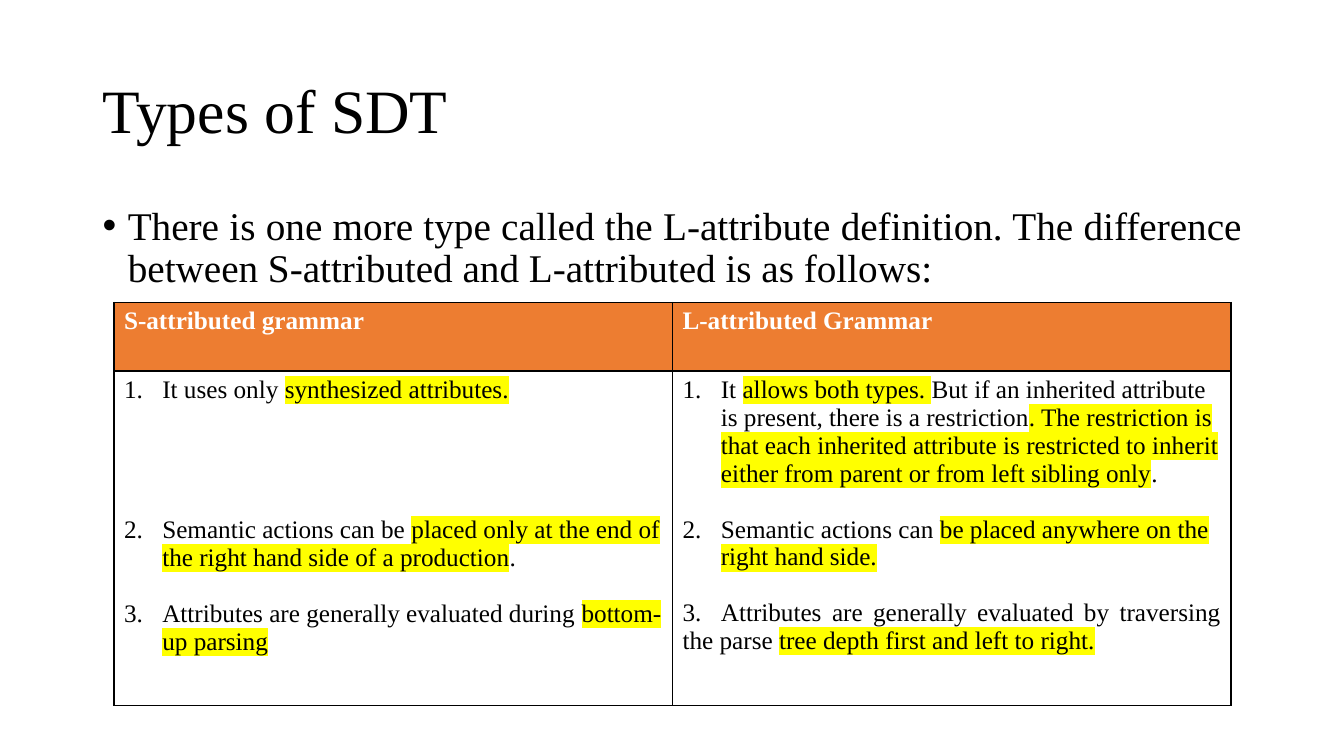
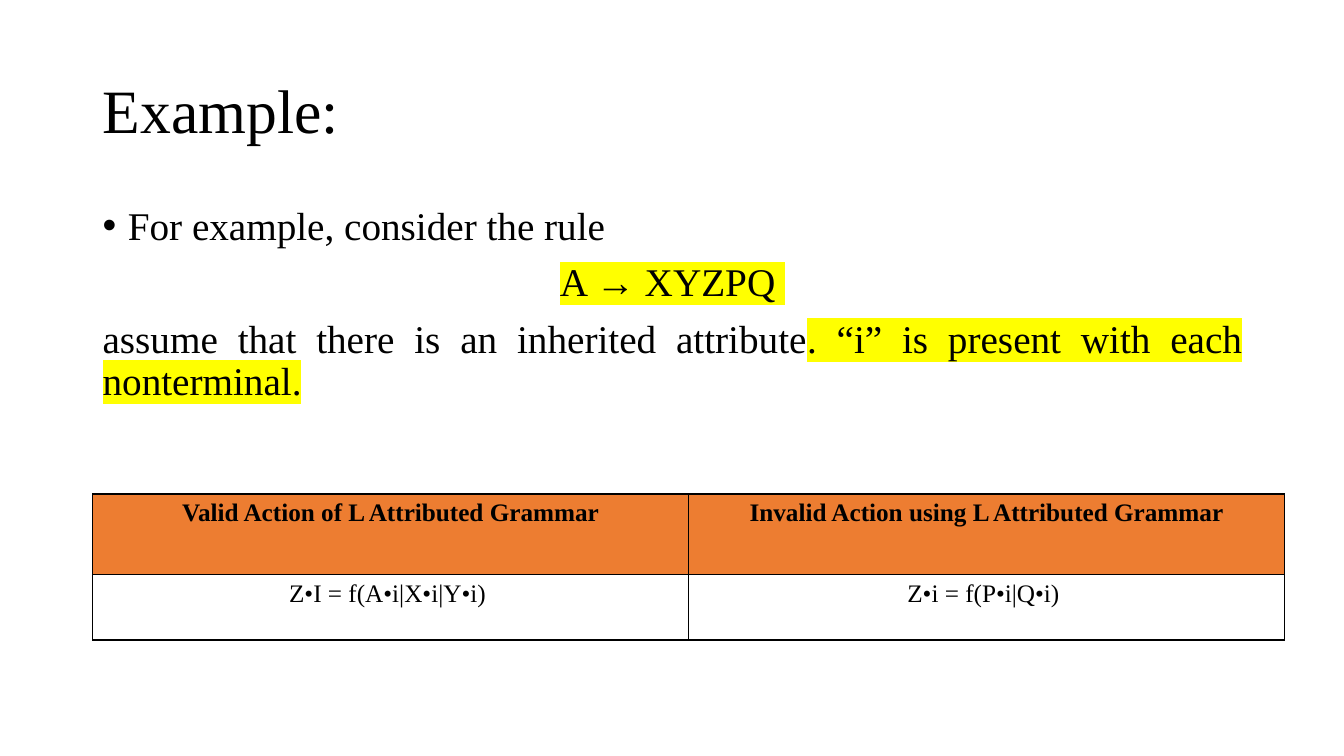
from dataclasses import dataclass

from lxml import etree
from pptx import Presentation
from pptx.dml.color import RGBColor
from pptx.enum.text import MSO_ANCHOR, PP_ALIGN
from pptx.oxml.ns import qn
from pptx.util import Inches, Pt

LEFT, CENTER, JUSTIFY = PP_ALIGN.LEFT, PP_ALIGN.CENTER, PP_ALIGN.JUSTIFY
MIDDLE = MSO_ANCHOR.MIDDLE
TITLE_ONLY = 5


@dataclass(frozen=True)
class Theme:
    font: str = "Times New Roman"
    bullet_font: str = "Arial"
    ink: str = "000000"
    paper: str = "FFFFFF"
    accent: str = "ED7D31"
    marker: str = "FFFF00"
    title_size: int = 44
    body_size: int = 28
    table_size: int = 18
    border: float = 1
    line_spacing: float = 0.9
    body_gap: int = 10
    blank_line: int = 20
    bullet_indent: float = 0.25
    number_indent: float = 0.38


THEME = Theme()


@dataclass(frozen=True)
class Entry:
    """Pieces alternate between plain and highlighted text."""
    pieces: tuple
    align: PP_ALIGN = LEFT
    mark: str = ""
    gap: float = 0


def add_element(parent, tag, **attributes):
    return etree.SubElement(parent, qn(tag), attributes)


def add_mark(para, mark):
    properties = para._p.get_or_add_pPr()
    if mark == "tab":
        stops = add_element(properties, "a:tabLst")
        add_element(stops, "a:tab", pos=str(Inches(THEME.number_indent)), algn="l")
        return
    if mark == "bullet":
        indent = Inches(THEME.bullet_indent)
        add_element(properties, "a:buFont", typeface=THEME.bullet_font)
        add_element(properties, "a:buChar", char="•")
    else:
        indent = Inches(THEME.number_indent)
        add_element(properties, "a:buAutoNum", type="arabicPeriod")
    properties.set("marL", str(indent))
    properties.set("indent", str(-indent))


def style_span(span, size, color, bold=False, highlighted=False):
    font = span.font
    font.name, font.size, font.bold = THEME.font, Pt(size), bold
    font.color.rgb = RGBColor.from_string(color)
    if highlighted:
        highlight = etree.Element(qn("a:highlight"))
        add_element(highlight, "a:srgbClr", val=THEME.marker)
        span._r.rPr.find(qn("a:solidFill")).addnext(highlight)


def write_entries(frame, entries, size, color=THEME.ink, bold=False, spacing=1.0):
    for index, entry in enumerate(entries):
        para = frame.paragraphs[0] if index == 0 else frame.add_paragraph()
        para.alignment = entry.align
        para.line_spacing = spacing
        para.space_before = Pt(entry.gap)
        if entry.mark:
            add_mark(para, entry.mark)
        for order, piece in enumerate(entry.pieces):
            if piece:
                span = para.add_run()
                span.text = piece
                style_span(span, size, color, bold, order % 2 == 1)


def add_page(deck, title):
    page = deck.slides.add_slide(deck.slide_layouts[TITLE_ONLY])
    box = page.shapes.title
    box.left, box.top = Inches(0.92), Inches(0.4)
    box.width, box.height = Inches(11.5), Inches(1.45)
    box.text_frame.vertical_anchor = MIDDLE
    write_entries(box.text_frame, [Entry((title,))], THEME.title_size,
                  spacing=THEME.line_spacing)
    return page


def add_body(page, entries):
    box = page.shapes.add_textbox(Inches(0.92), Inches(2), Inches(11.5), Inches(4.76))
    box.text_frame.word_wrap = True
    write_entries(box.text_frame, entries, THEME.body_size, spacing=THEME.line_spacing)


def style_cell(cell, fill):
    properties = cell._tc.get_or_add_tcPr()
    for side in ("a:lnL", "a:lnR", "a:lnT", "a:lnB"):
        line = add_element(properties, side, w=str(Pt(THEME.border)))
        solid = add_element(line, "a:solidFill")
        add_element(solid, "a:srgbClr", val=THEME.ink)
    cell.fill.solid()
    cell.fill.fore_color.rgb = RGBColor.from_string(fill)


def add_comparison(page, left, top, column_width, row_heights, rows, header_color):
    table = page.shapes.add_table(
        len(rows), len(rows[0]), Inches(left), Inches(top),
        Inches(column_width * len(rows[0])), Inches(sum(row_heights))).table
    for column in table.columns:
        column.width = Inches(column_width)
    for index, (row, height) in enumerate(zip(rows, row_heights)):
        table.rows[index].height = Inches(height)
        header = index == 0
        for cell, entries in zip(table.rows[index].cells, row):
            style_cell(cell, THEME.accent if header else THEME.paper)
            write_entries(cell.text_frame, entries, THEME.table_size,
                          header_color if header else THEME.ink, bold=header)


def numbered(*pieces, blank_lines=0):
    return Entry(pieces, mark="number", gap=blank_lines * THEME.blank_line)


def build_types(deck):
    page = add_page(deck, "Types of SDT")
    add_body(page, [Entry((
        "There is one more type called the L-attribute definition. The difference "
        "between S-attributed and L-attributed is as follows:",), JUSTIFY, "bullet")])
    s_attributed = [
        numbered("It uses only ", "synthesized attributes."),
        numbered("Semantic actions can be ",
                 "placed only at the end of the right hand side of a production",
                 ".", blank_lines=4),
        numbered("Attributes are generally evaluated during ", "bottom-up parsing",
                 blank_lines=1),
    ]
    l_attributed = [
        numbered("It ", "allows both types. ",
                 "But if an inherited attribute is present, there is a restriction",
                 ". The restriction is that each inherited attribute is restricted "
                 "to inherit either from parent or from left sibling only", "."),
        numbered("Semantic actions can ", "be placed anywhere on the right hand side.",
                 blank_lines=1),
        Entry(("3.\tAttributes are generally evaluated by traversing the parse ",
               "tree depth first and left to right."),
              JUSTIFY, "tab", THEME.blank_line),
    ]
    headers = [[Entry((text,))]
               for text in ("S-attributed grammar", "L-attributed Grammar")]
    add_comparison(page, 1.13, 3, 5.54, (0.68, 3.32),
                   [headers, [s_attributed, l_attributed]], THEME.paper)


def build_example(deck):
    page = add_page(deck, "Example:")
    add_body(page, [
        Entry(("For example, consider the rule",), mark="bullet"),
        Entry(("", "A → XYZPQ "), CENTER, gap=THEME.body_gap),
        Entry(("assume that there is an inherited attribute",
               ". “i” is present with each nonterminal."),
              JUSTIFY, gap=THEME.body_gap),
    ])
    texts = (
        ("Valid Action of L Attributed Grammar",
         "Invalid Action using L Attributed Grammar"),
        ("Z•I = f(A•i|X•i|Y•i) ", "Z•i = f(P•i|Q•i) "),
    )
    rows = [[[Entry((text,), CENTER)] for text in row] for row in texts]
    add_comparison(page, 0.92, 4.9, 5.91, (0.8, 0.65), rows, THEME.ink)


def main():
    deck = Presentation()
    deck.slide_width, deck.slide_height = Inches(13.33), Inches(7.5)
    build_types(deck)
    build_example(deck)
    deck.save("out.pptx")


if __name__ == "__main__":
    main()
